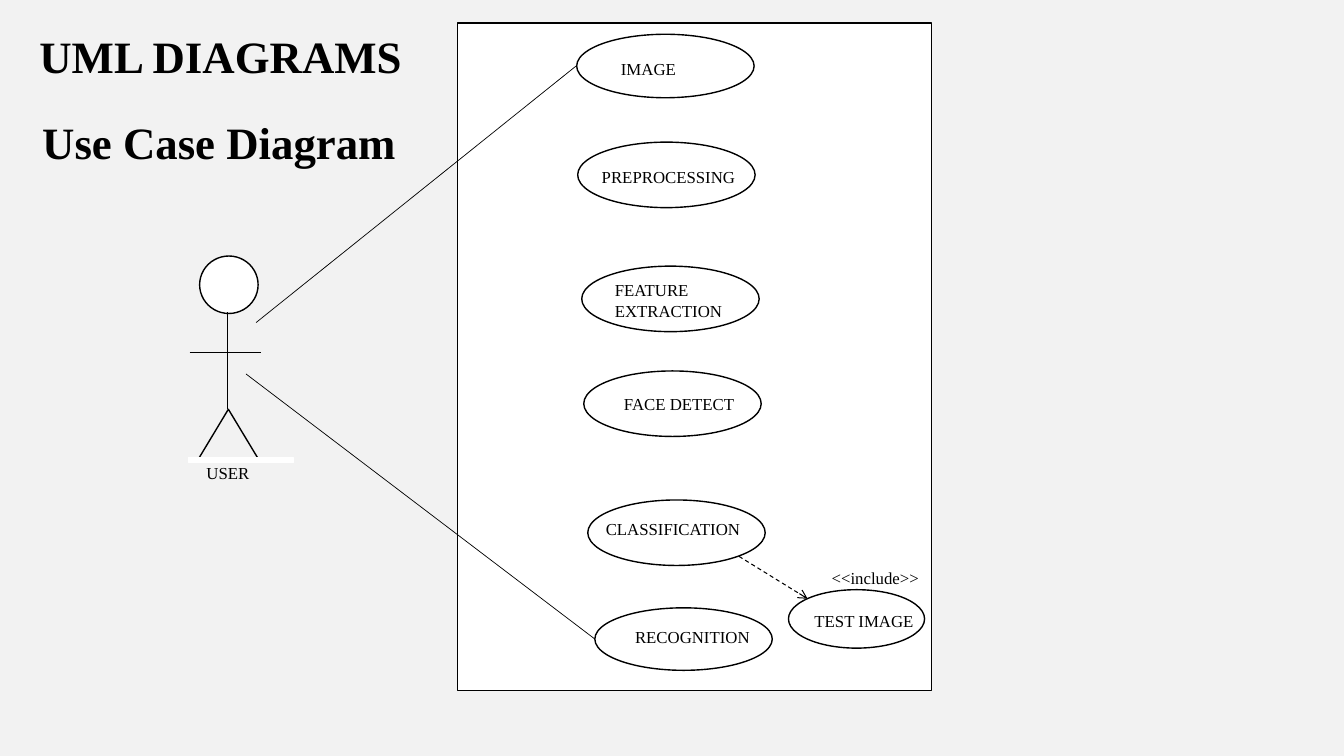
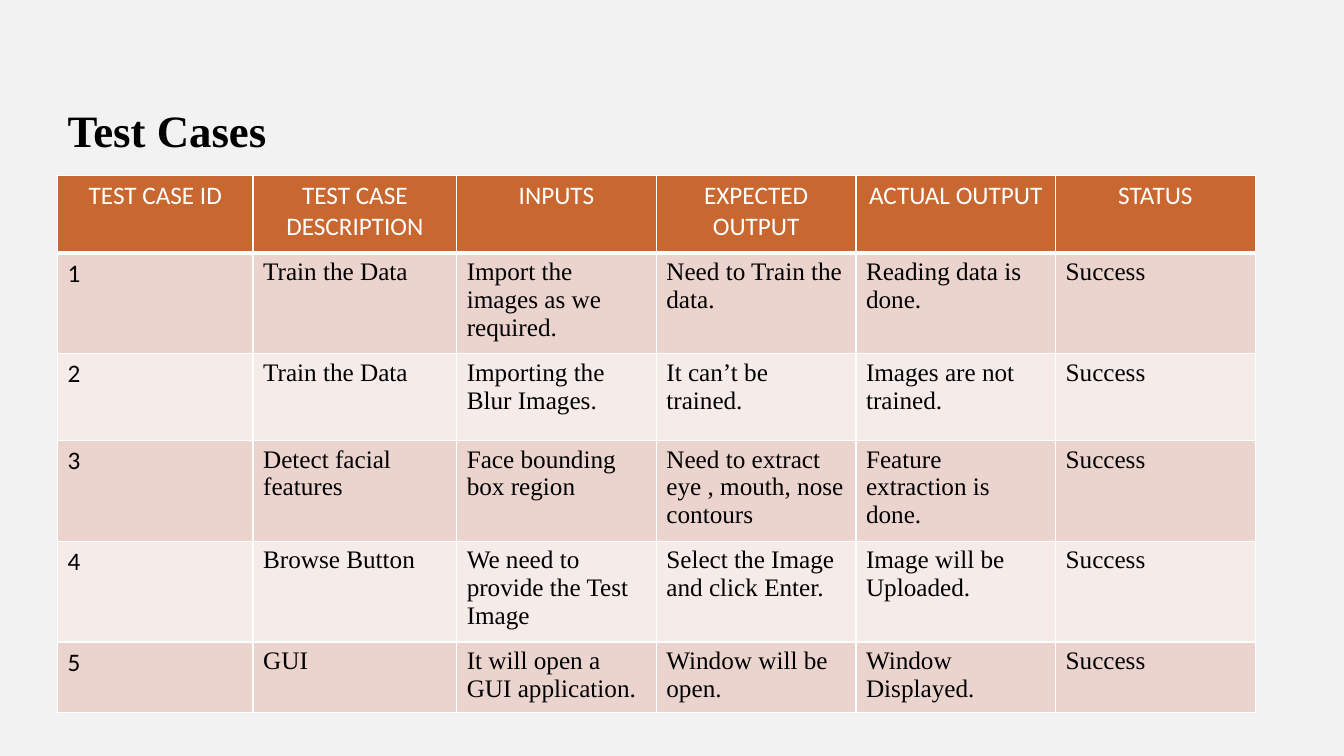
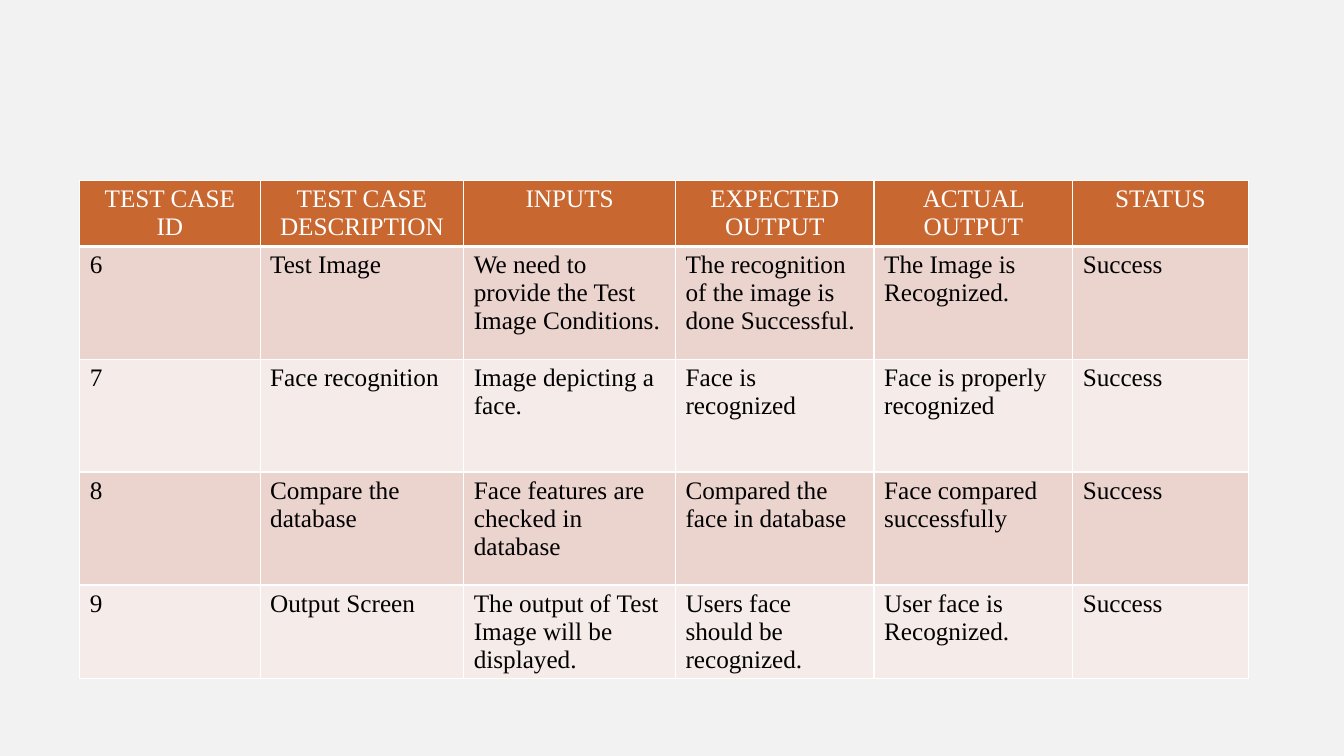
import pptx
import pptx.util
import pptx.dml.color
import pptx.enum.dml
import pptx.enum.shapes
import pptx.enum.text
import pptx.oxml.ns
import lxml.etree

Inches = pptx.util.Inches
Pt = pptx.util.Pt
RGBColor = pptx.dml.color.RGBColor
Preset = pptx.enum.shapes.MSO_SHAPE
Align = pptx.enum.text.PP_ALIGN

BLACK = RGBColor(0x00, 0x00, 0x00)
WHITE = RGBColor(0xFF, 0xFF, 0xFF)
PAPER = RGBColor(0xF2, 0xF2, 0xF2)
HEADER = RGBColor(0xC9, 0x67, 0x31)
BANDS = (RGBColor(0xEB, 0xD3, 0xCE), RGBColor(0xF5, 0xEB, 0xE8))
SERIF = "Times New Roman"
SANS = "Calibri"
TITLE_ONLY, BLANK = 5, 6


def add_xml(parent, tag, **attributes):
    return lxml.etree.SubElement(parent, pptx.oxml.ns.qn(tag), attributes)


class Deck:
    """Holds the shared style and the slide being built."""

    def __init__(self):
        self.prs = pptx.Presentation()
        self.prs.slide_width = Inches(13.33)
        self.prs.slide_height = Inches(7.5)
        backdrop = self.prs.slide_master.background.fill
        backdrop.solid()
        backdrop.fore_color.rgb = PAPER
        self.slide = None

    def new_slide(self, layout):
        self.slide = self.prs.slides.add_slide(self.prs.slide_layouts[layout])

    def set_text(self, frame, text, size, font=SERIF, color=BLACK, bold=False, align=Align.LEFT):
        frame.text = text
        paragraph = frame.paragraphs[0]
        paragraph.alignment = align
        paragraph.font.size = Pt(size)
        paragraph.font.name = font
        paragraph.font.bold = bold
        paragraph.font.color.rgb = color

    def heading_text(self, frame, text):
        frame.word_wrap = True
        frame.auto_size = pptx.enum.text.MSO_AUTO_SIZE.NONE
        frame.vertical_anchor = pptx.enum.text.MSO_ANCHOR.TOP
        self.set_text(frame, text, 32, bold=True, align=Align.JUSTIFY)

    def title(self, text, left, top, width):
        title = self.slide.shapes.title
        title.left, title.top = Inches(left), Inches(top)
        title.width, title.height = Inches(width), Inches(0.64)
        self.heading_text(title.text_frame, text)

    def subtitle(self, text, left, top, width):
        box = self.slide.shapes.add_textbox(
            Inches(left), Inches(top), Inches(width), Inches(0.64))
        self.heading_text(box.text_frame, text)

    def label(self, text, left, top, width, height=0.3):
        box = self.slide.shapes.add_textbox(
            Inches(left), Inches(top), Inches(width), Inches(height))
        box.text_frame.word_wrap = True
        self.set_text(box.text_frame, text, 12)

    def shape(self, preset, left, top, width, height, fill=WHITE, line=BLACK):
        shape = self.slide.shapes.add_shape(
            preset, Inches(left), Inches(top), Inches(width), Inches(height))
        shape.shadow.inherit = False
        if fill is None:
            shape.fill.background()
        else:
            shape.fill.solid()
            shape.fill.fore_color.rgb = fill
        shape.line.color.rgb = line
        shape.line.width = Pt(1)

    def line(self, x1, y1, x2, y2, width=0.5, dashed_arrow=False):
        connector = self.slide.shapes.add_connector(
            pptx.enum.shapes.MSO_CONNECTOR.STRAIGHT,
            Inches(x1), Inches(y1), Inches(x2), Inches(y2))
        connector.line.color.rgb = BLACK
        connector.line.width = Pt(width)
        properties = connector._element.spPr
        if dashed_arrow:
            connector.line.dash_style = pptx.enum.dml.MSO_LINE.DASH
            add_xml(properties.find(pptx.oxml.ns.qn("a:ln")), "a:tailEnd", type="arrow")
        add_xml(properties, "a:effectLst")

    def borders(self, cell, bottom):
        properties = cell._tc.get_or_add_tcPr()
        for side, points in (("L", 1), ("R", 1), ("T", 1), ("B", bottom)):
            edge = add_xml(properties, "a:ln" + side, w=str(int(Pt(points))))
            add_xml(add_xml(edge, "a:solidFill"), "a:srgbClr", val=str(WHITE))

    def test_table(self, left, top, widths, heights, cases, label_font):
        """Header and ID column use label_font; everything else is serif."""
        header = ("TEST CASE ID", "TEST CASE DESCRIPTION", "INPUTS",
                  "EXPECTED OUTPUT", "ACTUAL OUTPUT", "STATUS")
        rows = [header] + [(*case, "Success") for case in cases]
        table = self.slide.shapes.add_table(
            len(rows), len(header), Inches(left), Inches(top),
            Inches(sum(widths)), Inches(sum(heights))).table
        table.first_row = table.horz_banding = False
        for column, width in zip(table.columns, widths):
            column.width = Inches(width)
        for row, height in zip(table.rows, heights):
            row.height = Inches(height)
        for r, texts in enumerate(rows):
            is_header = r == 0
            for c, text in enumerate(texts):
                cell = table.cell(r, c)
                self.borders(cell, bottom=3 if is_header else 1)
                cell.fill.solid()
                cell.fill.fore_color.rgb = HEADER if is_header else BANDS[(r - 1) % 2]
                self.set_text(cell.text_frame, text, 18,
                              font=label_font if is_header or c == 0 else SERIF,
                              color=WHITE if is_header else BLACK,
                              align=Align.CENTER if is_header else Align.LEFT)


def use_case_slide(deck):
    deck.new_slide(TITLE_ONLY)
    deck.title("UML DIAGRAMS", 0.29, 0.23, 3.91)
    deck.subtitle("Use Case Diagram", 0.32, 1.09, 3.76)

    # System boundary
    deck.shape(Preset.RECTANGLE, 4.54, 0.23, 4.7, 6.62)

    # Actor: the white strip hides the base of the triangle, leaving two legs
    deck.shape(Preset.OVAL, 1.98, 2.54, 0.58, 0.57)
    deck.line(2.26, 3.1, 2.26, 4.06)
    deck.line(1.88, 3.5, 2.59, 3.5)
    deck.shape(Preset.ISOSCELES_TRIANGLE, 1.97, 4.06, 0.59, 0.49, fill=None)
    deck.shape(Preset.RECTANGLE, 1.87, 4.54, 1.04, 0.05, line=WHITE)
    deck.label("USER", 1.95, 4.54, 0.8)

    # Use cases: ellipse box, then label left, top, width, height
    use_cases = (
        ("IMAGE", (5.72, 0.34, 1.76, 0.63), (6.06, 0.53, 1.15, 0.3)),
        ("PREPROCESSING", (5.73, 1.41, 1.76, 0.65), (5.87, 1.61, 1.6, 0.3)),
        ("FEATURE EXTRACTION", (5.77, 2.64, 1.76, 0.65), (6, 2.73, 1.6, 0.5)),
        ("FACE DETECT", (5.79, 3.68, 1.76, 0.65), (6.09, 3.86, 1.8, 0.3)),
        ("CLASSIFICATION", (5.83, 4.96, 1.76, 0.65), (5.91, 5.1, 2.11, 0.3)),
        ("RECOGNITION", (5.9, 6.03, 1.76, 0.62), (6.2, 6.17, 2.4, 0.3)),
        ("TEST IMAGE", (7.82, 5.85, 1.35, 0.58), (7.98, 6.01, 1.47, 0.3)),
    )
    for name, ellipse, label in use_cases:
        deck.shape(Preset.OVAL, *ellipse)
        deck.label(name, *label)

    # Associations and the include relation
    deck.line(2.54, 3.2, 5.72, 0.65)
    deck.line(5.9, 6.34, 2.44, 3.71)
    deck.line(7.33, 5.52, 8.01, 5.94, width=0.75, dashed_arrow=True)
    deck.label("<<include>>", 8.15, 5.58, 1.09)


def first_cases_slide(deck):
    deck.new_slide(TITLE_ONLY)
    deck.title("Test Cases", 0.57, 0.97, 6.87)
    cases = (
        ("1", "Train the Data", "Import the images as we required.",
         "Need to Train the data.", "Reading data is done."),
        ("2", "Train the Data", "Importing the Blur Images.",
         "It can’t be trained.", "Images are not trained."),
        ("3", "Detect facial features", "Face bounding box region",
         "Need to extract eye , mouth, nose contours", "Feature extraction is done."),
        ("4", "Browse Button", "We need to provide the Test Image",
         "Select the Image and click Enter.", "Image will be Uploaded."),
        ("5", "GUI", "It will open a GUI application.",
         "Window will be open.", "Window Displayed."),
    )
    deck.test_table(0.57, 1.74, (1.94, 2.02, 1.98, 1.98, 1.98, 1.98),
                    (0.77, 1, 0.86, 1, 1, 0.7), cases, SANS)


def last_cases_slide(deck):
    deck.new_slide(BLANK)
    cases = (
        ("6", "Test Image", "We need to provide the Test Image Conditions.",
         "The recognition of the image is done Successful.", "The Image is Recognized."),
        ("7", "Face recognition", "Image depicting a face.",
         "Face is recognized", "Face is properly recognized"),
        ("8", "Compare the database", "Face features are checked in database",
         "Compared the face in database", "Face compared successfully"),
        ("9", "Output Screen", "The output of Test Image will be displayed.",
         "Users face should be recognized.", "User face is Recognized."),
    )
    deck.test_table(0.79, 1.79, (1.79, 2.02, 2.1, 1.97, 1.97, 1.74),
                    (0.65, 1.12, 1.12, 1.12, 0.93), cases, SERIF)


def main():
    deck = Deck()
    use_case_slide(deck)
    first_cases_slide(deck)
    last_cases_slide(deck)
    deck.prs.save("out.pptx")


if __name__ == "__main__":
    main()
